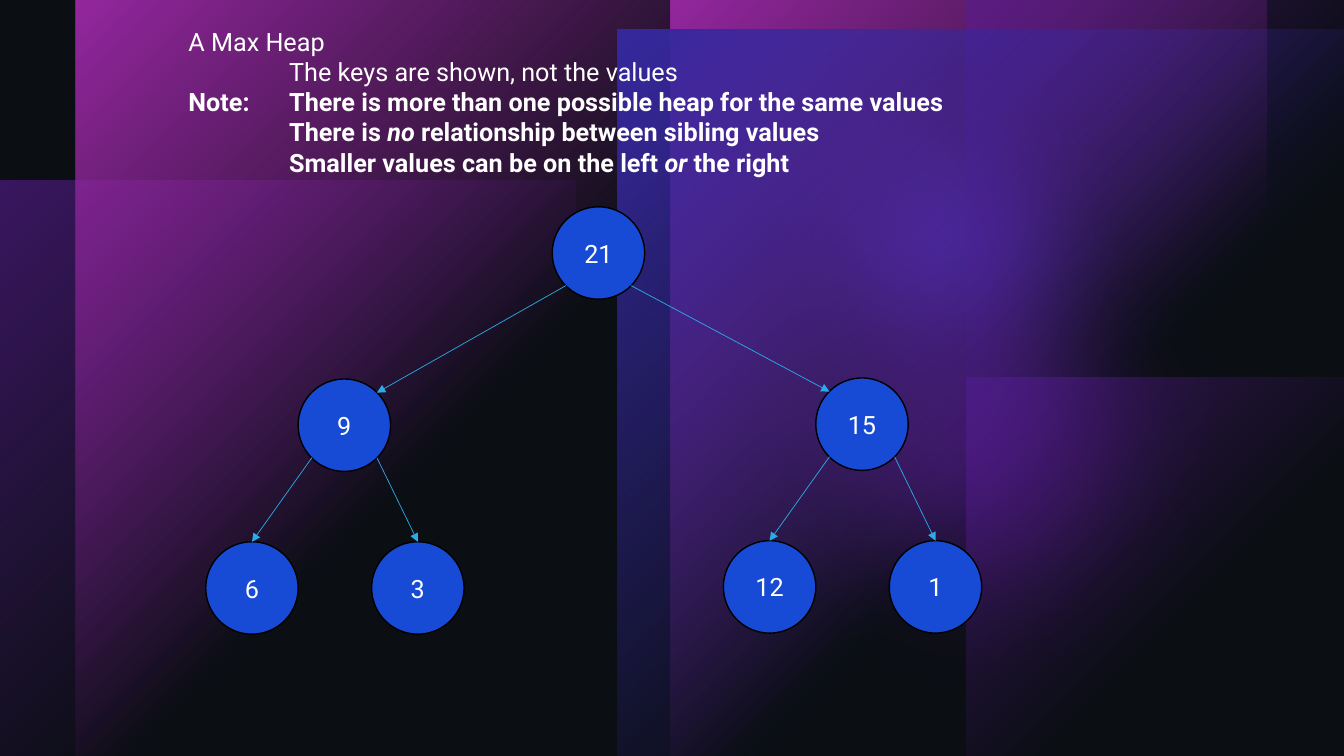
from lxml import etree
from pptx import Presentation
from pptx import util as u
from pptx.dml.color import RGBColor
from pptx.enum import shapes, text
from pptx.oxml import parse_xml
from pptx.oxml.ns import nsdecls, qn

PX = 9525
NODE = 88
INSET = 13
TAB = 96
FONT = "Roboto"
COLORS = {
    "back": "000000", "veil": "1C2431", "purple": "8217D5", "indigo": "472CE7",
    "magenta": "E329E7", "node": "174BD5", "outline": "000000",
    "edge": "29ACE7", "text": "FFFFFF",
}


def px(*lengths):
    """Turn pixel lengths into EMU."""
    return [u.Emu(n * PX) for n in lengths]


def rgb(name):
    """Look up a palette colour."""
    return RGBColor.from_string(COLORS[name])


def style(p, bold=None):
    """Set the common font of a paragraph."""
    p.font.name, p.font.size, p.font.bold = FONT, u.Pt(18), bold
    p.font.color.rgb = rgb("text")


def add_plain(s, kind, box, color, opacity=100):
    """Add an unlined shape with a solid, possibly see-through fill."""
    sp = s.shapes.add_shape(kind, *px(*box))
    sp.shadow.inherit = False
    sp.line.fill.background()
    sp.fill.solid()
    sp.fill.fore_color.rgb = rgb(color)
    if opacity < 100:
        clr = sp._element.spPr.find(qn("a:solidFill"))[0]
        etree.SubElement(clr, qn("a:alpha"), val=str(opacity * 1000))
    return sp


def add_glow(s, box, color, opacity, blur):
    """Add a soft-edged circle of light."""
    sp = add_plain(s, shapes.MSO_SHAPE.OVAL, box, color, opacity)
    effects = sp._element.spPr.find(qn("a:effectLst"))
    etree.SubElement(effects, qn("a:softEdge"), rad=str(blur * PX))


def add_pane(s, box, color, opacity=100):
    """Add a rectangle that fades out from its top left corner."""
    sp = add_plain(s, shapes.MSO_SHAPE.RECTANGLE, box, color)
    stops = "".join(
        f'<a:gs pos="{pos}"><a:srgbClr val="{COLORS[color]}">'
        f'<a:alpha val="{alpha * 1000}"/></a:srgbClr></a:gs>'
        for pos, alpha in ((0, opacity), (60000, 0)))
    grad = parse_xml(
        f'<a:gradFill {nsdecls("a")} rotWithShape="1"><a:gsLst>{stops}</a:gsLst>'
        '<a:path path="circle"><a:fillToRect r="100000" b="100000"/></a:path>'
        '<a:tileRect l="-100000" t="-100000"/></a:gradFill>')
    spPr = sp._element.spPr
    spPr.replace(spPr.find(qn("a:solidFill")), grad)


def add_node(s, key, x, y):
    """Add a heap node showing its key."""
    sp = add_plain(s, shapes.MSO_SHAPE.OVAL, (x, y, NODE, NODE), "node")
    sp.line.color.rgb, sp.line.width = rgb("outline"), u.Pt(1)
    tf = sp.text_frame
    tf.vertical_anchor = text.MSO_ANCHOR.MIDDLE
    p = tf.paragraphs[0]
    p.text, p.alignment = str(key), text.PP_ALIGN.CENTER
    style(p)
    return sp


def add_edge(s, start, end, leaf=None):
    """Add an arrow between two points, joined to the top of a leaf if given."""
    line = s.shapes.add_connector(shapes.MSO_CONNECTOR.STRAIGHT, *px(*start, *end))
    line.line.color.rgb, line.line.width = rgb("edge"), u.Pt(0.5)
    spPr = line._element.spPr
    etree.SubElement(spPr.find(qn("a:ln")), qn("a:tailEnd"), type="triangle")
    etree.SubElement(spPr, qn("a:effectLst"))
    if leaf is not None:
        line.end_connect(leaf, 0)


def corner(x, y, right, bottom):
    """Give the point on a node's rim that lies on a diagonal."""
    return (x + (NODE - INSET if right else INSET),
            y + (NODE - INSET if bottom else INSET))


def add_heap(s):
    """Draw the root, its two subtrees and their arrows."""
    root = (526, 197)
    add_node(s, 21, *root)
    subtrees = ((9, (284, 361), (6, 3)), (15, (777, 360), (12, 1)))
    for side, (key, (x, y), leaves) in enumerate(subtrees):
        add_node(s, key, x, y)
        add_edge(s, corner(*root, side, True), corner(x, y, not side, False))
        for leaf_side, (leaf_key, dx) in enumerate(zip(leaves, (-88, 70))):
            leaf_x, leaf_y = x + dx, y + 155
            leaf = add_node(s, leaf_key, leaf_x, leaf_y)
            add_edge(s, corner(x, y, leaf_side, True),
                     (leaf_x + NODE // 2, leaf_y), leaf)


def add_notes_text(s):
    """Add the heading and the remarks about heaps."""
    lines = (
        (False, ["A Max Heap"]),
        (False, ["\tThe keys are shown, not the values"]),
        (True, ["Note:\tThere is more than one possible heap for the same values"]),
        (True, ["\tThere is ", "no", " relationship between sibling values"]),
        (True, ["\tSmaller values can be on the left ", "or", " the right"]),
    )
    tf = s.shapes.add_textbox(*px(170, 20, 800, 156)).text_frame
    tf.word_wrap = True
    tf.auto_size = text.MSO_AUTO_SIZE.SHAPE_TO_FIT_TEXT
    for i, (bold, parts) in enumerate(lines):
        p = tf.add_paragraph() if i else tf.paragraphs[0]
        style(p, bold)
        p._p.get_or_add_pPr().set("defTabSz", str(TAB * PX))
        for j, part in enumerate(parts):
            r = p.add_run()
            r.text = part
            if j == 1:
                r.font.italic = True


def add_backdrop(s):
    """Paint the layered coloured light behind the content."""
    s.background.fill.solid()
    s.background.fill.fore_color.rgb = rgb("back")
    add_pane(s, (0, 172, 548, 548), "purple", 60)
    add_glow(s, (670, 0, 453, 453), "indigo", 96, 104)
    add_glow(s, (642, 130, 578, 578), "purple", 60, 127)
    for x in (639, 72):
        add_pane(s, (x, 0, 567, 720), "magenta")
    for y in (360, 0):
        add_pane(s, (920, y, 360, 360), "purple", 60)
    add_pane(s, (588, 28, 692, 692), "indigo")
    add_plain(s, shapes.MSO_SHAPE.RECTANGLE, (0, 0, 1280, 720), "veil", 40)


def main():
    """Build and save the slide."""
    prs = Presentation()
    prs.slide_width, prs.slide_height = px(1280, 720)
    s = prs.slides.add_slide(prs.slide_layouts[6])
    add_backdrop(s)
    add_heap(s)
    add_notes_text(s)
    prs.save("out.pptx")


if __name__ == "__main__":
    main()
